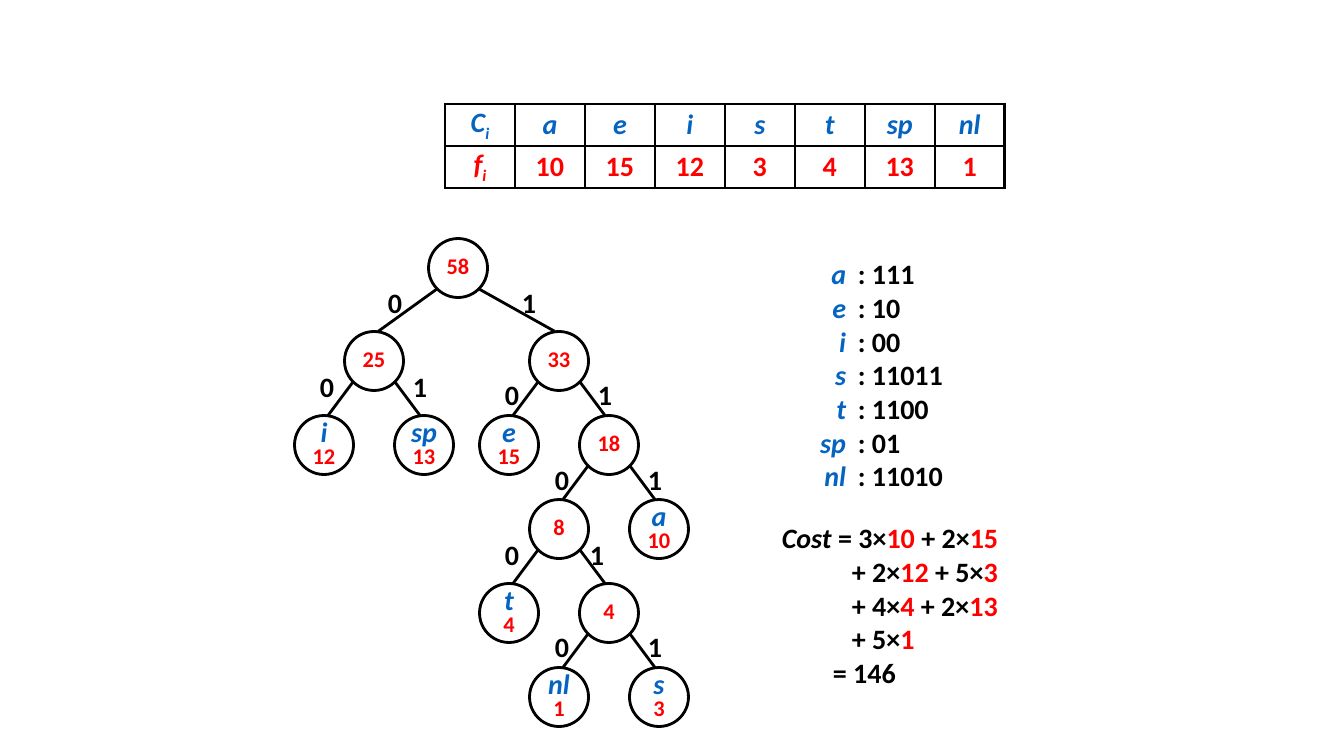
import pptx
import pptx.util
import pptx.dml.color
import pptx.enum.shapes
import pptx.enum.text
import pptx.oxml
import pptx.oxml.ns

SCALE = 914400 / 100.8
BLUE, RED, BLACK = "0563C1", "FF0000", "000000"
ALIGN = pptx.enum.text.PP_ALIGN
MID = pptx.enum.text.MSO_ANCHOR.MIDDLE
RAD = 29.5
NAME = {"color": BLUE, "italic": True}

SYMBOLS = ["a", "e", "i", "s", "t", "sp", "nl"]
COUNTS = [10, 15, 12, 3, 4, 13, 1]
CODES = ["111", "10", "00", "11011", "1100", "01", "11010"]

# Inner node: (sum, zero child, one child, label drop, label shifts)
# Leaf: (count, symbol)
FOUR = (4, (1, "nl"), (3, "s"), 12, (-64, 29))
EIGHT = (8, (4, "t"), FOUR, 4, (-64, 21))
RIGHT = (33, (15, "e"), (18, EIGHT, (10, "a"), 13, (-64, 29)), 12, (-64, 29))
LEFT = (25, (12, "i"), (13, "sp"), 4, (-64, 29))
ROOT = (58, LEFT, RIGHT, 13, (-80, 54))


def emu(size):
    """Turn pixels into EMU."""
    return pptx.util.Emu(round(size * SCALE))


def rgb(code):
    """Turn a hex string into a colour."""
    return pptx.dml.color.RGBColor.from_string(code)


def put(frame, lines, align=ALIGN.LEFT, space=None, **base):
    """Fill a text frame; each line is a list of (text, format) runs."""
    for num, line in enumerate(lines):
        para = frame.add_paragraph() if num else frame.paragraphs[0]
        para.alignment = align
        if space:
            para.line_spacing = space
        for text, extra in line:
            look = {"size": 20, "color": BLACK, "italic": False, **base, **extra}
            run = para.add_run()
            run.text = str(text)
            font = run.font
            font.name, font.bold = "Calibri", True
            font.size, font.italic = pptx.util.Pt(look["size"]), look["italic"]
            font.color.rgb = rgb(look["color"])
            if "shift" in look:
                font._element.set("baseline", str(look["shift"]))


def box(slide, left, top, wide, high, lines, wrap=True, **look):
    """Add a text box and return its frame."""
    area = slide.shapes.add_textbox(emu(left), emu(top), emu(wide), emu(high))
    area.text_frame.word_wrap = wrap
    put(area.text_frame, lines, **look)
    return area.text_frame


def edge(slide, start, end):
    """Join two points with a black line."""
    kind = pptx.enum.shapes.MSO_CONNECTOR.STRAIGHT
    line = slide.shapes.add_connector(kind, *map(emu, start + end))
    line.line.color.rgb = rgb(BLACK)
    line.line.width = pptx.util.Pt(2)
    props = line._element.spPr
    props.append(props.makeelement(pptx.oxml.ns.qn("a:effectLst"), {}))


def circle(slide, x, y, lines):
    """Draw a tree node around its centre."""
    oval = pptx.enum.shapes.MSO_SHAPE.OVAL
    node = slide.shapes.add_shape(
        oval, emu(x - RAD), emu(y - RAD), emu(2 * RAD), emu(2 * RAD))
    node.shadow.inherit = False
    node.fill.background()
    node.line.color.rgb = rgb(BLACK)
    node.line.width = pptx.util.Pt(2)
    node.text_frame.word_wrap = False
    node.text_frame.vertical_anchor = MID
    put(node.text_frame, lines, align=ALIGN.CENTER, space=0.8)


def tree(slide, node, x, y, steps=(-50, 50), fall=84):
    """Draw a node with its edges, bit labels and subtrees."""
    value = [(node[0], {"size": 16, "color": RED})]
    if len(node) == 2:
        circle(slide, x, y, [[(node[1], NAME)], value])
        return
    circle(slide, x, y, [value])
    drop, shifts = node[3:]
    for bit, side in enumerate((-1, 1)):
        down, over = y + fall, x + steps[bit]
        edge(slide, (x + 21 * side, y + 21), (over - 4 * side, down - RAD))
        box(slide, x + shifts[bit], y + drop, 34, 43, [[(bit, {})]], wrap=False)
        tree(slide, node[1 + bit], over, down)


def border(cell):
    """Give a cell a black outline on all sides."""
    props = cell._tc.get_or_add_tcPr()
    space = pptx.oxml.ns.nsdecls("a")
    for num, side in enumerate("LRTB"):
        props.insert(num, pptx.oxml.parse_xml(
            f'<a:ln{side} {space} w="25400"><a:solidFill>'
            f'<a:srgbClr val="{BLACK}"/></a:solidFill></a:ln{side}>'))


def table(slide, rows, left, top, wide, high):
    """Add a table of equal cells, each holding one line of runs."""
    cols = len(rows[0])
    grid = slide.shapes.add_table(
        len(rows), cols, emu(left), emu(top),
        emu(wide * cols), emu(high * len(rows))).table
    grid.first_row = grid.horz_banding = False
    for col in grid.columns:
        col.width = emu(wide)
    for r, row in enumerate(rows):
        grid.rows[r].height = emu(high)
        for c, line in enumerate(row):
            cell = grid.cell(r, c)
            cell.margin_left = cell.margin_right = 0
            cell.margin_top = cell.margin_bottom = 0
            cell.vertical_anchor = MID
            cell.fill.background()
            border(cell)
            put(cell.text_frame, [line], align=ALIGN.CENTER)


def head(letter, color):
    """Make the runs of an indexed row heading."""
    look = {"color": color, "italic": True}
    return [(letter, look), ("i", {**look, "shift": -25000})]


def cost(slide):
    """Write the cost sum with coloured counts and indented lines."""
    sums = [[(3, 10), (2, 15)], [(2, 12), (5, 3)], [(4, 4), (2, 13)], [(5, 1)]]
    lines = []
    for row, terms in enumerate(sums):
        line = [] if row else [("Cost ", {"italic": True})]
        for num, (bits, count) in enumerate(terms):
            sign = " + " if num else "+ " if row else "= "
            line += [(f"{sign}{bits}×", {}), (count, {"color": RED})]
        lines.append(line)
    lines.append([("= 146", {})])
    frame = box(slide, 772, 516, 336, 179, lines)
    for para, dent in zip(frame.paragraphs, (0, 70, 70, 70, 51)):
        para._p.get_or_add_pPr().set("marL", str(emu(dent)))


def main():
    """Build the Huffman tree slide."""
    deck = pptx.Presentation()
    deck.slide_width, deck.slide_height = emu(1344), emu(756)
    slide = deck.slides.add_slide(deck.slide_layouts[6])
    names = [[(name, NAME)] for name in SYMBOLS]
    counts = [[(count, {"color": RED})] for count in COUNTS]
    rows = [[head("C", BLUE)] + names, [head("f", RED)] + counts]
    table(slide, rows, 445, 104, 70, 42)
    tree(slide, ROOT, 458, 268, steps=(-84, 101), fall=93)
    box(slide, 789, 252, 67, 248, names, align=ALIGN.RIGHT)
    box(slide, 848, 252, 143, 248, [[(f": {code}", {})] for code in CODES])
    cost(slide)
    deck.save("out.pptx")


main()
